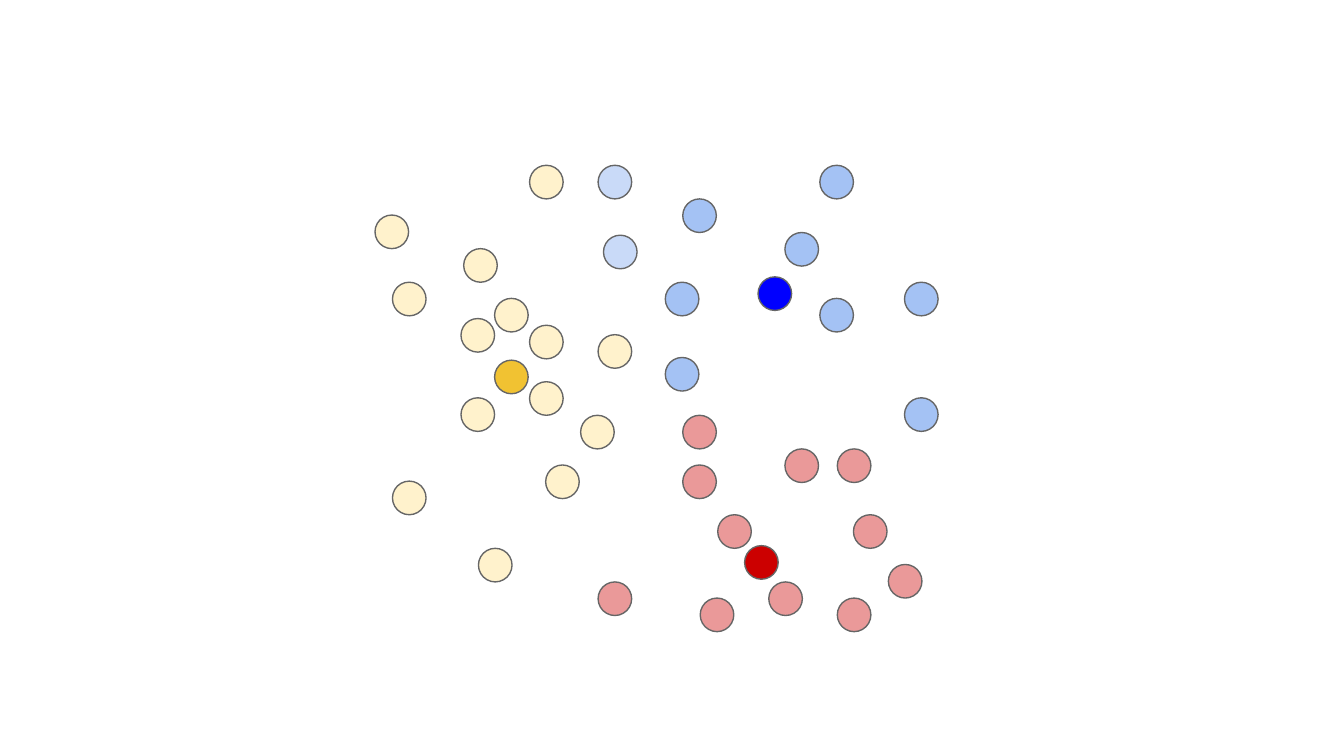
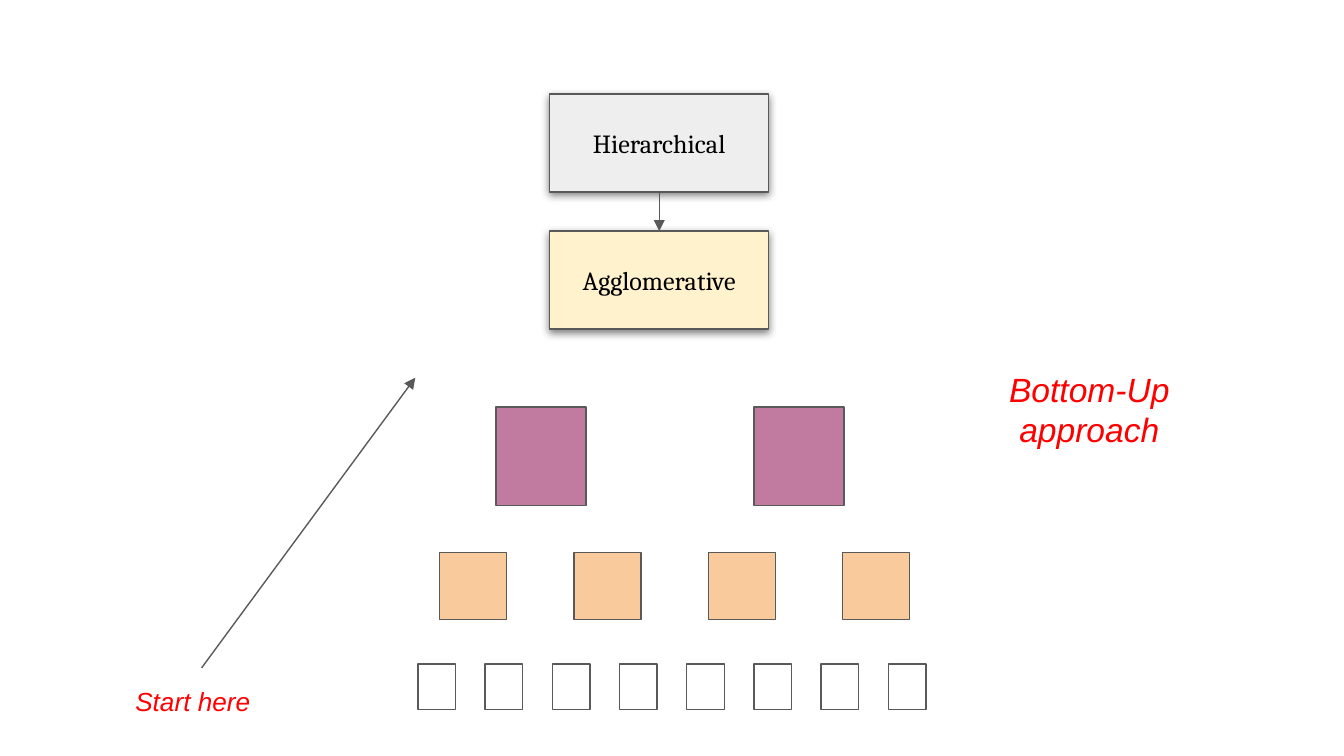
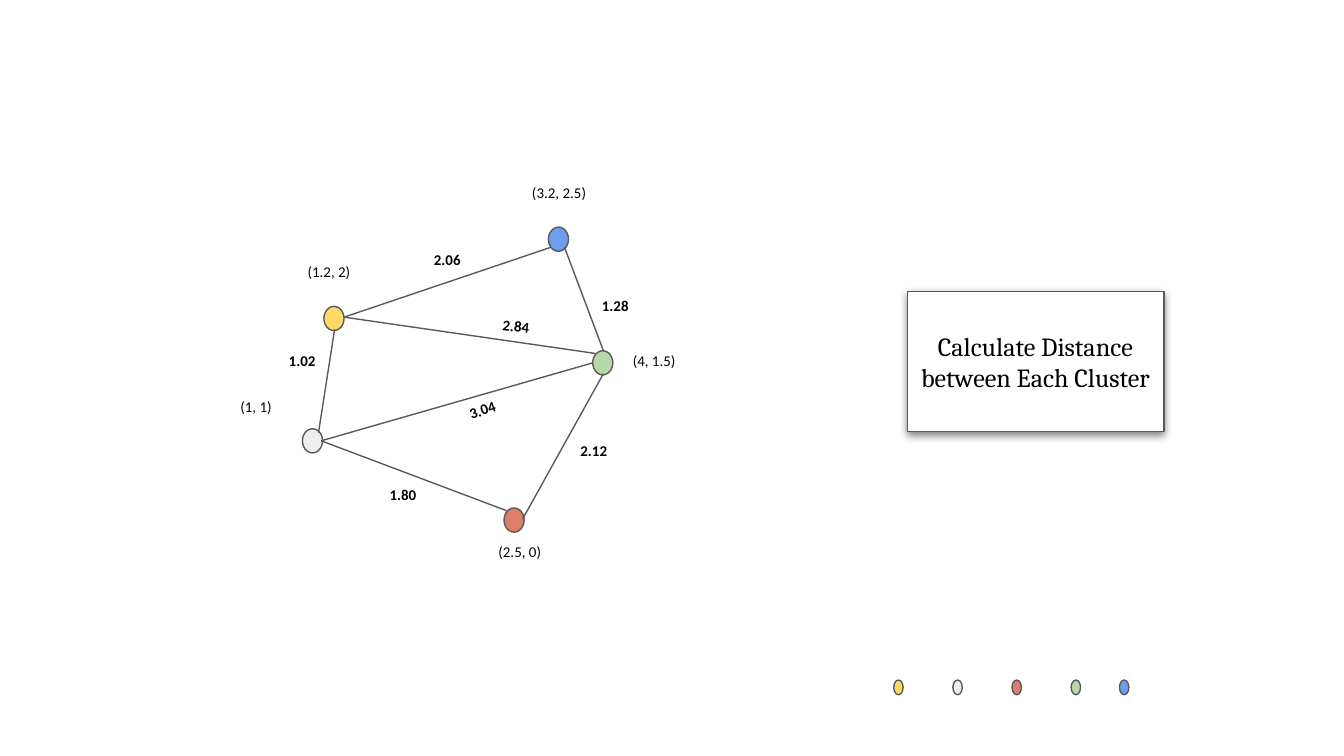
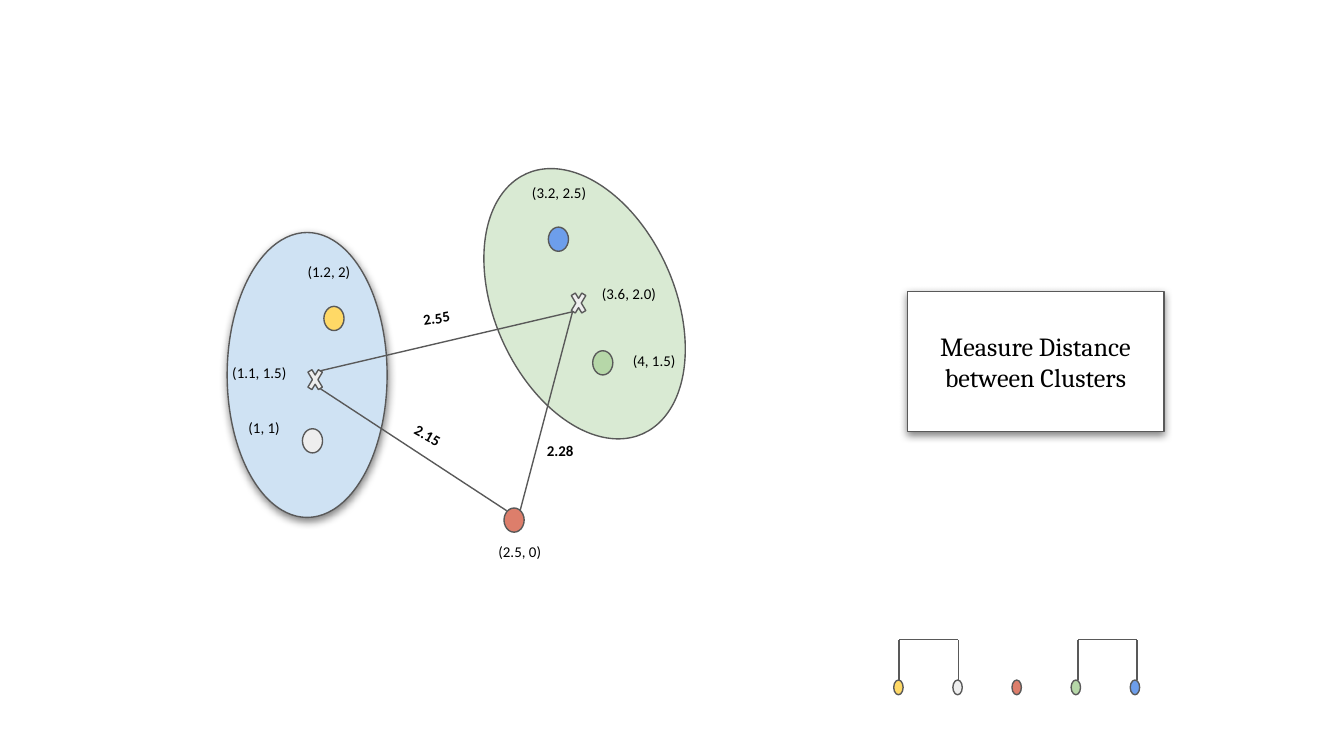
from dataclasses import dataclass

from lxml import etree
from pptx import Presentation
from pptx.dml.color import RGBColor
from pptx.enum.shapes import MSO_CONNECTOR, MSO_SHAPE
from pptx.enum.text import MSO_ANCHOR, PP_ALIGN
from pptx.oxml import parse_xml
from pptx.oxml.ns import qn
from pptx.util import Inches, Pt

OVAL, RECTANGLE, CROSS = MSO_SHAPE.OVAL, MSO_SHAPE.RECTANGLE, MSO_SHAPE.MATH_MULTIPLY
STRAIGHT = MSO_CONNECTOR.STRAIGHT
LEFT, CENTER = PP_ALIGN.LEFT, PP_ALIGN.CENTER
TOP, MIDDLE = MSO_ANCHOR.TOP, MSO_ANCHOR.MIDDLE


@dataclass(frozen=True)
class Theme:
    line: str = "595959"
    dot_line: str = "666666"
    white: str = "FFFFFF"
    gray: str = "EEEEEE"
    cream: str = "FFF2CC"
    gold: str = "F1C232"
    pale_blue: str = "C9DAF8"
    light_blue: str = "A4C2F4"
    deep_blue: str = "0000FF"
    pink: str = "EA9999"
    deep_red: str = "CC0000"
    orange: str = "F9CB9C"
    purple: str = "C27BA0"
    yellow: str = "FFD966"
    coral: str = "DD7E6B"
    green: str = "B6D7A8"
    blue: str = "6D9EEB"
    group_green: str = "D9EAD3"
    group_blue: str = "CFE2F3"
    # Text styles: font, size, colour, bold, italic
    heading: tuple = ("Cambria", 14, "000000", False, False)
    label: tuple = ("Calibri", 8, "000000", False, False)
    distance: tuple = ("Calibri", 8, "000000", True, False)
    remark: tuple = ("Arial", 14, "FF0000", False, True)
    big_remark: tuple = ("Arial", 18, "FF0000", False, True)


theme = Theme()
SHADOW = (
    '<a:outerShdw xmlns:a="http://schemas.openxmlformats.org/drawingml/2006/main" '
    'blurRad="57150" dist="19050" dir="5400000" algn="bl" rotWithShape="0">'
    '<a:srgbClr val="000000"><a:alpha val="50000"/></a:srgbClr></a:outerShdw>'
)


def add_box(page, at, kind=None, fill=None, line=theme.line, shadow=False, rotation=0,
            text="", style=theme.heading, align=CENTER, anchor=MIDDLE):
    """Add a preset shape, or a text box when no kind is given."""
    place = [Inches(length) for length in at]
    if kind is None:
        box = page.shapes.add_textbox(*place)
    else:
        box = page.shapes.add_shape(kind, *place)
        box.shadow.inherit = False
        if fill:
            box.fill.solid()
            box.fill.fore_color.rgb = RGBColor.from_string(fill)
        else:
            box.fill.background()
        box.line.color.rgb = RGBColor.from_string(line)
        box.line.width = Pt(0.75)
        if shadow:
            box._element.spPr.find(qn("a:effectLst")).append(parse_xml(SHADOW))
    box.rotation = rotation
    if text:
        frame = box.text_frame
        frame.word_wrap = True
        frame.vertical_anchor = anchor
        frame.margin_left = frame.margin_right = frame.margin_bottom = Inches(0.1)
        frame.margin_top = Inches(0.14 if anchor == TOP else 0.1)
        para = frame.paragraphs[0]
        para.alignment = align
        span = para.add_run()
        span.text = text
        font = span.font
        font.name, size, color, font.bold, font.italic = style
        font.size = Pt(size)
        font.color.rgb = RGBColor.from_string(color)
    return box


def add_line(page, start, end, arrow=False):
    line = page.shapes.add_connector(STRAIGHT, *[Inches(length) for length in start + end])
    line.line.color.rgb = RGBColor.from_string(theme.line)
    line.line.width = Pt(0.75)
    if arrow:
        etree.SubElement(line.line._get_or_add_ln(), qn("a:tailEnd"), type="triangle")
    etree.SubElement(line._element.spPr, qn("a:effectLst"))
    return line


# Widescreen deck, 16 to 9
deck = Presentation()
deck.slide_width = Inches(10)
deck.slide_height = Inches(10) * 9 // 16
blank = deck.slide_layouts[6]

# Slide 1: points coloured by cluster, with the centres in strong colours
page = deck.slides.add_slide(blank)
scatter = {
    theme.cream: [(2.79, 1.6), (3.45, 1.85), (3.94, 2.42), (3.43, 2.37), (4.45, 2.49),
                  (4.32, 3.09), (4.06, 3.46), (3.94, 1.23), (2.92, 2.1), (3.68, 2.22),
                  (3.43, 2.96), (3.94, 2.84), (3.56, 4.08), (2.92, 3.58)],
    theme.pale_blue: [(4.49, 1.75), (4.45, 1.23)],
    theme.light_blue: [(5.08, 1.48), (4.95, 2.66), (6.1, 2.22), (6.1, 1.23),
                       (6.73, 2.96), (4.95, 2.1), (5.84, 1.73), (6.73, 2.1)],
    theme.pink: [(5.84, 3.34), (6.35, 3.83), (5.08, 3.09), (6.23, 3.34), (5.34, 3.83),
                 (5.08, 3.46), (5.72, 4.33), (5.21, 4.45), (6.61, 4.2), (6.23, 4.45),
                 (4.45, 4.33)],
    theme.gold: [(3.68, 2.68)],
    theme.deep_red: [(5.54, 4.06)],
    theme.deep_blue: [(5.64, 2.06)],
}
for color, corners in scatter.items():
    for left, top in corners:
        add_box(page, (left, top, 0.25, 0.25), OVAL, color, theme.dot_line)

# Slide 2: bottom-up tree
page = deck.slides.add_slide(blank)
hierarchical, agglomerative = [
    add_box(page, (4.09, top, 1.63, 0.73), RECTANGLE, fill, shadow=True, text=text)
    for top, fill, text in [(0.7, theme.gray, "Hierarchical"),
                            (1.72, theme.cream, "Agglomerative")]
]
arrow = add_line(page, (4.91, 1.43), (4.91, 1.72), arrow=True)
arrow.begin_connect(hierarchical, 2)
arrow.end_connect(agglomerative, 0)

# Levels: count, first left, step, top, width, height, fill
levels = [
    (2, 3.69, 1.92, 3.03, 0.67, 0.73, theme.purple),
    (4, 3.27, 1, 4.11, 0.5, 0.5, theme.orange),
    (8, 3.11, 0.5, 4.94, 0.28, 0.34, None),
]
for count, first, step, top, width, height, fill in levels:
    for index in range(count):
        add_box(page, (first + index * step, top, width, height), RECTANGLE, fill)

add_line(page, (1.5, 4.97), (3.09, 2.81), arrow=True)
add_box(page, (7.03, 2.81, 2.15, 0.47), text="Bottom-Up approach", style=theme.big_remark)
add_box(page, (0.36, 4.98, 2.15, 0.47), text="Start here", style=theme.remark)

# Slides 3 and 4: the same five points, linked by distances
points = [(2.41, 2.28, theme.yellow), (2.25, 3.19, theme.gray), (3.75, 3.78, theme.coral),
          (4.41, 2.61, theme.green), (4.08, 1.69, theme.blue)]
point_labels = [("(1.2, 2)", 2.19, 1.87, 0.55, LEFT), ("(2.5, 0)", 3.61, 3.95, 0.55, LEFT),
                ("(4, 1.5)", 4.61, 2.53, 0.55, LEFT), ("(3.2, 2.5)", 3.86, 1.28, 0.75, LEFT)]

# What each step adds to the shared points
steps = [
    {
        "heading": "Calculate Distance between Each Cluster",
        "last_key": 8.33,
        "groups": [],
        "centers": [],
        "labels": [("(1, 1)", 1.69, 2.87, 0.45, LEFT)],
        "links": [((2.56, 2.36), (4.1, 1.84)), ((2.49, 2.45), (2.37, 3.22)),
                  ((2.39, 3.28), (3.77, 3.8)), ((3.89, 3.86), (4.49, 2.78)),
                  ((4.2, 1.84), (4.49, 2.61)), ((2.56, 2.36), (4.43, 2.63)),
                  ((2.39, 3.28), (4.41, 2.7))],
        "distances": [("2.06", 3.13, 1.78, 0), ("1.80", 2.8, 3.53, 0),
                      ("2.12", 4.22, 3.2, 0), ("1.28", 4.38, 2.12, 0),
                      ("2.84", 3.64, 2.28, 6.6), ("3.04", 3.39, 2.87, 341.2),
                      ("1.02", 2.05, 2.53, 0)],
        "brackets": [],
    },
    {
        "heading": "Measure Distance between Clusters",
        "last_key": 8.41,
        "groups": [((3.68, 1.2, 1.34, 2.12), theme.group_green, False, 335.9),
                   ((1.69, 1.73, 1.19, 2.12), theme.group_blue, True, 0)],
        "centers": [(2.27, 2.7), (4.23, 2.13)],
        "labels": [("(1, 1)", 1.69, 3.03, 0.55, CENTER),
                   ("(1.1, 1.5)", 1.61, 2.62, 0.64, CENTER),
                   ("(3.6, 2.0)", 4.36, 2.03, 0.64, CENTER)],
        "links": [((3.77, 3.8), (2.38, 2.89)), ((3.87, 3.8), (4.26, 2.32)),
                  ((2.38, 2.76), (4.26, 2.32))],
        "distances": [("2.15", 2.97, 3.12, 28.9), ("2.28", 3.97, 3.2, 0),
                      ("2.55", 3.05, 2.2, 351)],
        "brackets": [6.69, 8.02],
    },
]
KEY_LEFT, KEY_STEP, KEY_TOP, BRACKET_TOP = 6.65, 0.44, 5.06, 4.76

for step in steps:
    page = deck.slides.add_slide(blank)

    # Merged groups, points and centres
    for at, fill, shadow, rotation in step["groups"]:
        add_box(page, at, OVAL, fill, shadow=shadow, rotation=rotation)
    for left, top, fill in points:
        add_box(page, (left, top, 0.15, 0.18), OVAL, fill)
    for left, top in step["centers"]:
        center = add_box(page, (left, top, 0.15, 0.25), CROSS, theme.gray)
        center.adjustments[0] = 0.235

    # Coordinates
    for text, left, top, width, align in point_labels + step["labels"]:
        add_box(page, (left, top, width, 0.33), text=text, style=theme.label,
                align=align, anchor=TOP)

    # Links and their distances
    for start, end in step["links"]:
        add_line(page, start, end)
    for text, left, top, rotation in step["distances"]:
        add_box(page, (left, top, 0.55, 0.33), rotation=rotation, text=text,
                style=theme.distance, align=LEFT, anchor=TOP)

    # Heading box
    add_box(page, (6.75, 2.17, 1.91, 1.04), RECTANGLE, theme.white, shadow=True,
            text=step["heading"])

    # Key dots and the brackets that join merged pairs
    key_lefts = [KEY_LEFT + index * KEY_STEP for index in range(4)] + [step["last_key"]]
    for left, (_, _, fill) in zip(key_lefts, points):
        add_box(page, (left, KEY_TOP, 0.07, 0.11), OVAL, fill)
    for left in step["brackets"]:
        right = left + KEY_STEP
        for side in (left, right):
            add_line(page, (side, KEY_TOP), (side, BRACKET_TOP))
        add_line(page, (left, BRACKET_TOP), (right, BRACKET_TOP))

deck.save("out.pptx")
